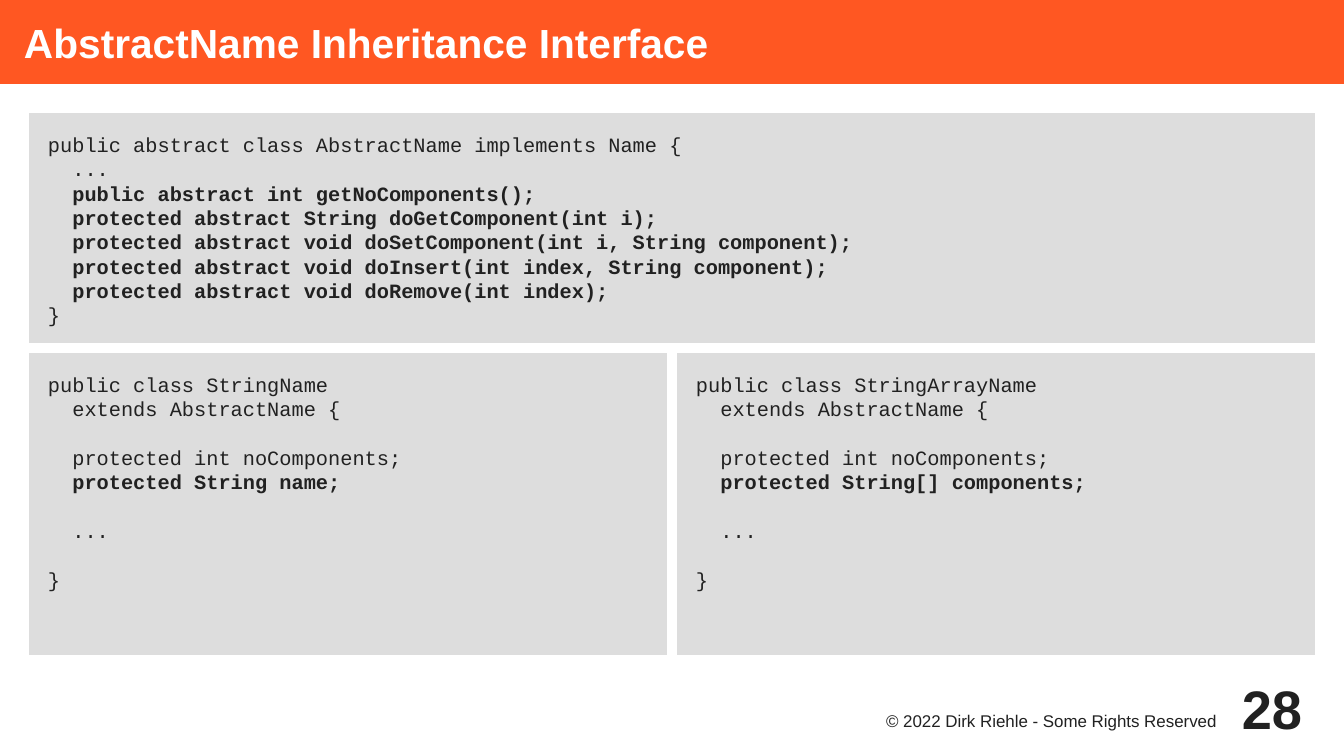
import pptx
import pptx.util
from pptx.dml.color import RGBColor
from pptx.enum.shapes import MSO_SHAPE
from pptx.enum.text import MSO_ANCHOR, MSO_AUTO_SIZE, PP_ALIGN
from pptx.util import Cm

ORANGE = RGBColor(0xFF, 0x57, 0x22)
GREY = RGBColor(0xDD, 0xDD, 0xDD)
DARK = RGBColor(0x21, 0x21, 0x21)
WHITE = RGBColor(0xFF, 0xFF, 0xFF)

MARGIN = 0.5
CONTENT_WIDTH = 27
HALF_WIDTH = CONTENT_WIDTH / 2
UPPER_TOP, UPPER_HEIGHT = 2.25, 5
LOWER_TOP, LOWER_HEIGHT = UPPER_TOP + UPPER_HEIGHT, 6.5

# Code lines shown in bold start with "*"; "" leaves an empty line
ABSTRACT_NAME = [
    "public abstract class AbstractName implements Name {",
    "  ...",
    "*  public abstract int getNoComponents();",
    "*  protected abstract String doGetComponent(int i);",
    "*  protected abstract void doSetComponent(int i, String component);",
    "*  protected abstract void doInsert(int index, String component);",
    "*  protected abstract void doRemove(int index);",
    "}",
]


def subclass_code(name, field):
    return [
        f"public class {name}",
        "  extends AbstractName {",
        "",
        "  protected int noComponents;",
        f"*  protected {field};",
        "",
        "  ...",
        "",
        "}",
    ]


class SlideBuilder:
    """Holds the style and the current slide."""

    text_font = "Arial"
    code_font = "Courier New"
    code_size = 12
    code_leading = pptx.util.Pt(14.4)

    def __init__(self, presentation):
        layout = presentation.slide_layouts[5]
        self.slide = presentation.slides.add_slide(layout)

    def set_frame(self, frame, margins, anchor):
        frame.word_wrap = True
        frame.auto_size = MSO_AUTO_SIZE.NONE
        frame.vertical_anchor = anchor
        (frame.margin_left, frame.margin_top,
         frame.margin_right, frame.margin_bottom) = map(Cm, margins)

    def set_font(self, paragraph, name, size, color, bold=False):
        font = paragraph.font
        font.name, font.bold = name, bold
        font.size = pptx.util.Pt(size)
        font.color.rgb = color

    def title(self, text, width, height):
        heading = self.slide.shapes.title
        heading.left, heading.top = Cm(0), Cm(0)
        heading.width, heading.height = Cm(width), Cm(height)
        heading.fill.solid()
        heading.fill.fore_color.rgb = ORANGE
        self.set_frame(heading.text_frame, (0.5, 0, 0, 0), MSO_ANCHOR.MIDDLE)
        paragraph = heading.text_frame.paragraphs[0]
        paragraph.text = text
        paragraph.alignment = PP_ALIGN.LEFT
        self.set_font(paragraph, self.text_font, 24, WHITE, bold=True)

    def code_panel(self, lines, left, top, width, height):
        panel = self.slide.shapes.add_shape(
            MSO_SHAPE.RECTANGLE, Cm(left), Cm(top), Cm(width), Cm(height))
        panel.shadow.inherit = False
        panel.fill.solid()
        panel.fill.fore_color.rgb = GREY
        panel.line.color.rgb = WHITE
        panel.line.width = pptx.util.Pt(5.67)
        frame = panel.text_frame
        self.set_frame(frame, (0.5, 0.5, 0.1, 0.1), MSO_ANCHOR.TOP)
        previous = None
        for line in lines:
            if line:
                paragraph = frame.add_paragraph() if previous is not None else frame.paragraphs[0]
                paragraph.text = line.removeprefix("*")
                paragraph.alignment = PP_ALIGN.LEFT
                paragraph.line_spacing = self.code_leading
                if previous == "":
                    paragraph.space_before = self.code_leading
                self.set_font(paragraph, self.code_font, self.code_size, DARK,
                              bold=line.startswith("*"))
            previous = line

    def label(self, text, left, top, width, height, size, margins=(0, 0, 0, 0),
              anchor=MSO_ANCHOR.MIDDLE, bold=False):
        box = self.slide.shapes.add_textbox(
            Cm(left), Cm(top), Cm(width), Cm(height))
        self.set_frame(box.text_frame, margins, anchor)
        paragraph = box.text_frame.paragraphs[0]
        paragraph.text = text
        paragraph.alignment = PP_ALIGN.CENTER
        self.set_font(paragraph, self.text_font, size, DARK, bold)


def main():
    presentation = pptx.Presentation()
    presentation.slide_width, presentation.slide_height = Cm(28), Cm(15.75)
    builder = SlideBuilder(presentation)

    # Title bar
    builder.title("AbstractName Inheritance Interface", 28, 1.75)

    # Abstract class above its two subclasses
    builder.code_panel(ABSTRACT_NAME, MARGIN, UPPER_TOP, CONTENT_WIDTH, UPPER_HEIGHT)
    subclasses = [("StringName", "String name"),
                  ("StringArrayName", "String[] components")]
    for column, (name, field) in enumerate(subclasses):
        builder.code_panel(subclass_code(name, field), MARGIN + column * HALF_WIDTH,
                           LOWER_TOP, HALF_WIDTH, LOWER_HEIGHT)

    # Footer
    builder.label("© 2022 Dirk Riehle - Some Rights Reserved", 18, 14.75, 8, 0.75, 10,
                  margins=(0, 0.05, 0.2, 0), anchor=MSO_ANCHOR.TOP)
    builder.label("28", 25.5, 14, 2, 1.5, 32, bold=True)

    presentation.save("out.pptx")


if __name__ == "__main__":
    main()
